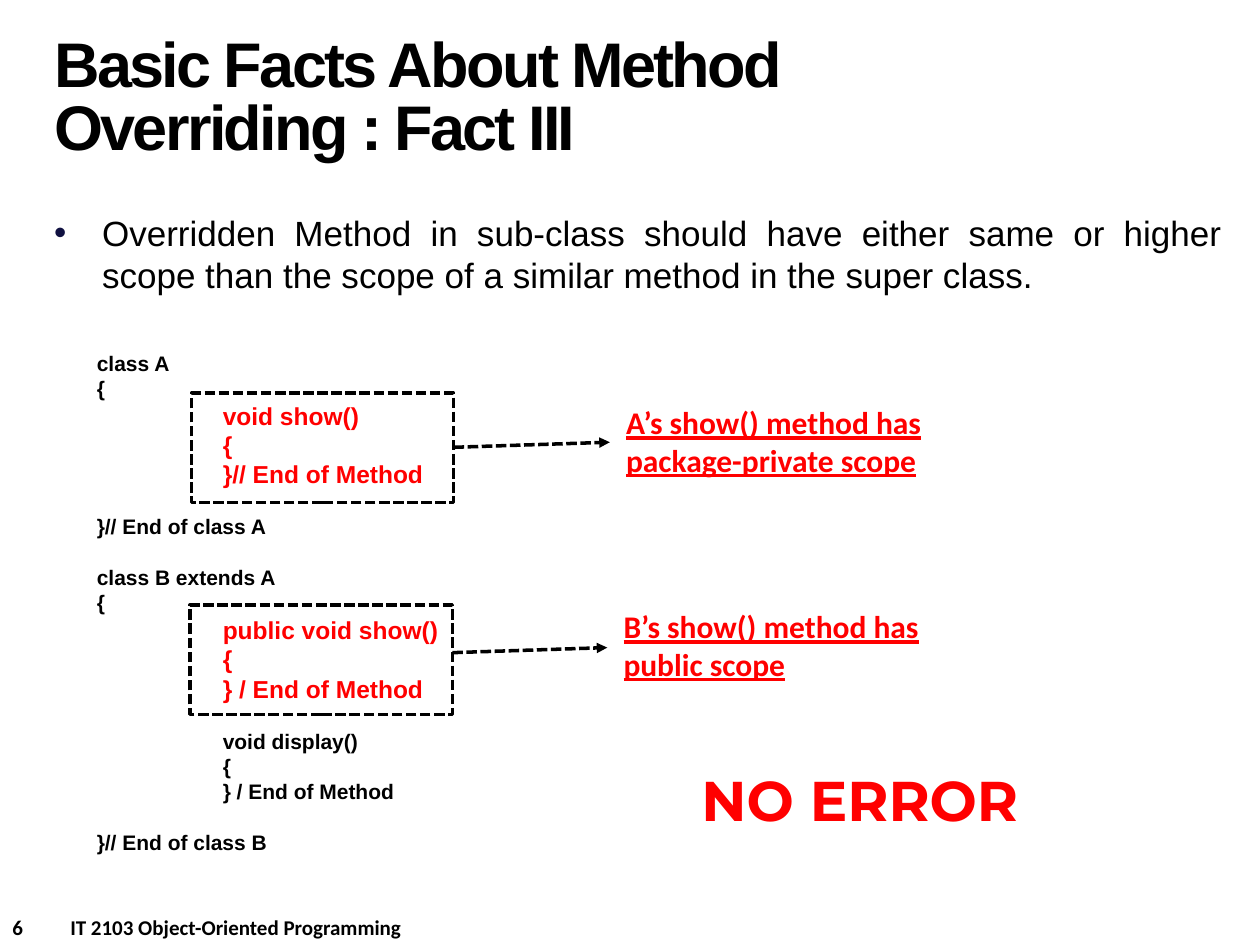
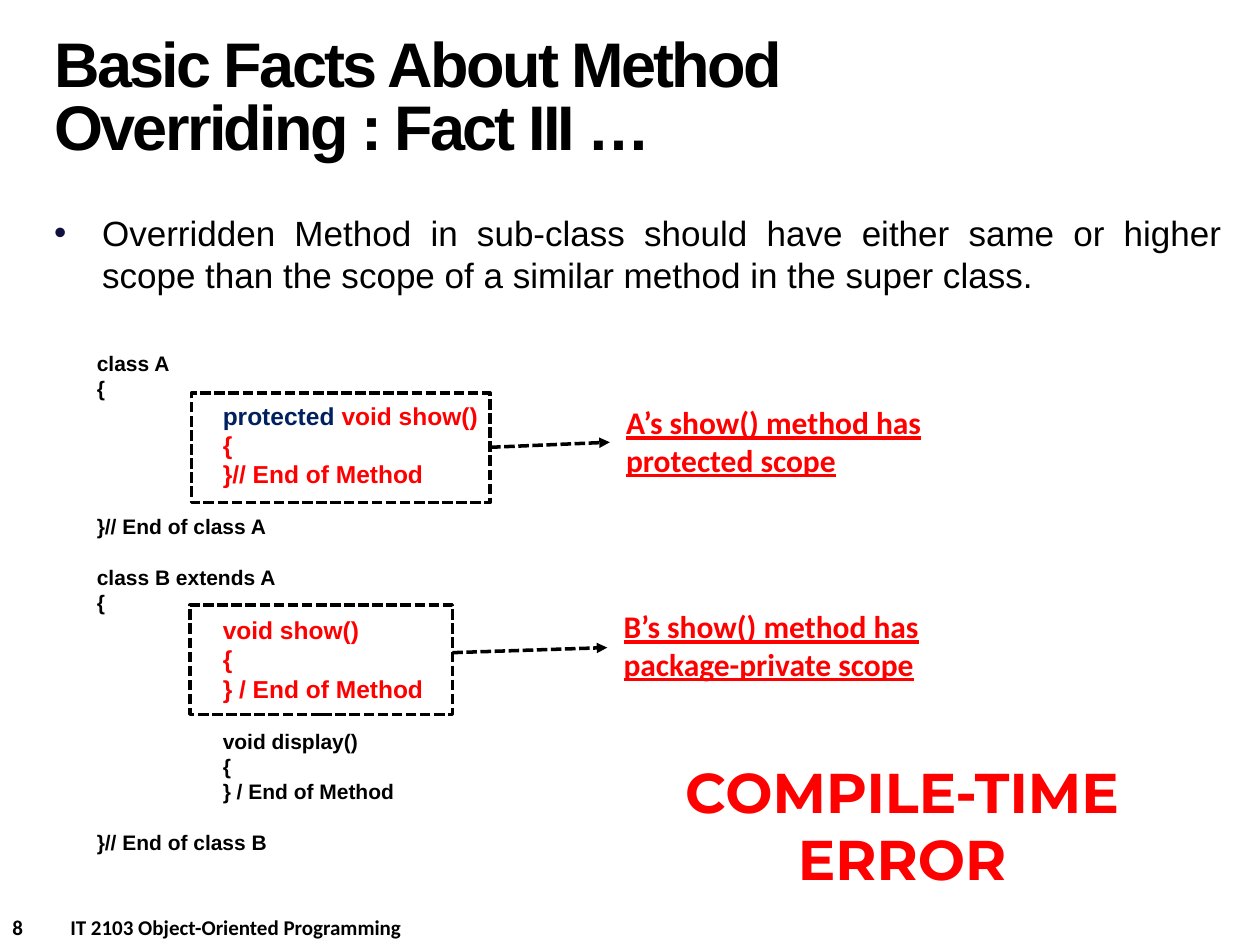
from lxml import etree
from pptx import Presentation
from pptx.dml.color import RGBColor
from pptx.enum.dml import MSO_LINE
from pptx.enum.shapes import MSO_CONNECTOR, MSO_SHAPE
from pptx.enum.text import MSO_ANCHOR, MSO_AUTO_SIZE, PP_ALIGN
from pptx.oxml.ns import qn
from pptx.util import Inches, Pt

LEFT, CENTER, JUSTIFY = PP_ALIGN.LEFT, PP_ALIGN.CENTER, PP_ALIGN.JUSTIFY
RECT, STRAIGHT, DASH = MSO_SHAPE.RECTANGLE, MSO_CONNECTOR.STRAIGHT, MSO_LINE.SQUARE_DOT
COLORS = {"text": "000000", "accent": "FF0000", "keyword": "002060", "bullet": "101141"}

# Content
COURSE = "IT 2103 Object-Oriented Programming"
RULE = ("Overridden Method in sub-class should have either same or higher scope "
        "than the scope of a similar method in the super class.")
SLIDES = [
    {"number": 6, "title": "Basic Facts About Method Overriding : Fact III",
     "show_a": [("void show()", "accent")],
     "show_b": [("public void show()", "accent")],
     "notes": ["A’s show() method has package-private scope",
               "B’s show() method has public scope"],
     "frame_widths": [2.08, 2.08],
     "verdict": "NO ERROR", "verdict_box": (4.87, 6.03, 3.91, 0.64)},
    {"number": 8, "title": "Basic Facts About Method Overriding : Fact III …",
     "show_a": [("protected", "keyword"), (" void show()", "accent")],
     "show_b": [("void show()", "accent")],
     "notes": ["A’s show() method has protected scope",
               "B’s show() method has package-private scope"],
     "frame_widths": [2.37, 2.08],
     "verdict": "COMPILE-TIME ERROR", "verdict_box": (4.69, 5.96, 4.94, 1.18)},
]

# Layout in inches: frame left and top, note left and top, arrow start and end heights
TITLE_BOX = (0.33, 0.17, 6.92, 1.25)
RULE_BOX = (0.33, 1.63, 9.47, 1.09)
CODE_BOX = (0.67, 2.73, 3.23, 4.14)
FOOTER_BOX = (0, 7.21, 5, 0.3)
CALLOUTS = [(1.52, 3.12, 4.87, 3.15, 3.55, 3.51), (1.51, 4.8, 4.85, 4.77, 5.18, 5.14)]
FRAME_H, NOTE_W, NOTE_H, ARROW_GAP = 0.87, 2.81, 0.71, 0.03
FOOTER_TAB, CODE_TAB = 0.46, 1
CODE_PITCH = 1.2


def rgb(name):
    return RGBColor.from_string(COLORS[name])


def place(shape, box):
    shape.left, shape.top, shape.width, shape.height = map(Inches, box)


def add_run(p, text, size, font="Arial", color="text", bold=True, underline=None):
    r = p.add_run()
    r.text = text
    f = r.font
    f.size, f.name, f.bold, f.underline = Pt(size), font, bold, underline
    f.color.rgb = rgb(color)
    return r


def add_tab(p, position):
    """Set a left tab stop, after any spacing of the paragraph."""
    tabs = etree.SubElement(p._p.get_or_add_pPr(), qn("a:tabLst"))
    etree.SubElement(tabs, qn("a:tab"), pos=str(Inches(position)), algn="l")


def add_text(s, box, text="", align=LEFT, **fmt):
    sp = s.shapes.add_textbox(*map(Inches, box))
    tf = sp.text_frame
    tf.word_wrap, tf.auto_size = True, MSO_AUTO_SIZE.SHAPE_TO_FIT_TEXT
    p = tf.paragraphs[0]
    p.alignment = align
    if text:
        add_run(p, text, **fmt)
    return tf


def fill_placeholder(sp, box, text, align, anchor, **fmt):
    place(sp, box)
    tf = sp.text_frame
    tf.word_wrap, tf.auto_size, tf.vertical_anchor = True, MSO_AUTO_SIZE.NONE, anchor
    p = tf.paragraphs[0]
    p.alignment = align
    return p, add_run(p, text, **fmt)


def add_title(s, text):
    p, r = fill_placeholder(s.shapes.title, TITLE_BOX, text, LEFT, MSO_ANCHOR.MIDDLE, size=36)
    p.line_spacing = Pt(36)
    r.font._element.set("spc", "-150")


def add_rule(s):
    p, r = fill_placeholder(s.placeholders[1], RULE_BOX, RULE, JUSTIFY, MSO_ANCHOR.TOP,
                            size=20, bold=False)
    p.space_before = Pt(4)
    pPr = p._p.get_or_add_pPr()
    pPr.set("marL", str(Inches(0.38)))
    pPr.set("indent", str(-Inches(0.38)))
    color = etree.SubElement(pPr, qn("a:buClr"))
    etree.SubElement(color, qn("a:srgbClr"), val=COLORS["bullet"])
    etree.SubElement(pPr, qn("a:buChar"), char="•")


def add_footer(s, number):
    tf = add_text(s, FOOTER_BOX, f"{number}\t{COURSE}", size=12, font="Calibri")
    add_tab(tf.paragraphs[0], FOOTER_TAB)


def code_lines(show_a, show_b):
    """Lines of the listing as (runs, size, gap above)."""
    def plain(text, gap=False):
        return [(text, "text")], 12, gap

    def method(head, end):
        rows = [[("\t", "text")] + head, [("\t{", "accent")], [(end, "accent")]]
        return [(runs, 14, False) for runs in rows]

    return [plain("class A"), plain("{"), *method(show_a, "\t}// End of Method"),
            plain("}// End of class A", True),
            plain("class B extends A", True), plain("{"),
            *method(show_b, "\t} / End of Method"),
            plain("\tvoid display()", True), plain("\t{"), plain("\t} / End of Method"),
            plain("}// End of class B", True)]


def add_code(s, lines):
    tf = add_text(s, CODE_BOX)
    for i, (runs, size, gap) in enumerate(lines):
        p = tf.add_paragraph() if i else tf.paragraphs[0]
        p.line_spacing = Pt(size * CODE_PITCH)
        if gap:
            p.space_before = Pt(12 * CODE_PITCH)
        add_tab(p, CODE_TAB)
        for text, color in runs:
            add_run(p, text, size, color=color)


def dash(line):
    line.color.rgb, line.width, line.dash_style = rgb("text"), Pt(2), DASH


def add_callout(s, spot, width, note):
    left, top, note_left, note_top, y1, y2 = spot
    add_text(s, (note_left, note_top, NOTE_W, NOTE_H), note,
             size=18, font="Calibri", color="accent", underline=True)
    frame = s.shapes.add_shape(RECT, *map(Inches, (left, top, width, FRAME_H)))
    frame.shadow.inherit = False
    frame.fill.background()
    dash(frame.line)
    ends = (left + width, y1, note_left - ARROW_GAP, y2)
    arrow = s.shapes.add_connector(STRAIGHT, *map(Inches, ends))
    dash(arrow.line)
    etree.SubElement(arrow.line._get_or_add_ln(), qn("a:tailEnd"), type="triangle")
    etree.SubElement(arrow._element.spPr, qn("a:effectLst"))


prs = Presentation()
prs.slide_width, prs.slide_height = Inches(10), Inches(7.5)
for data in SLIDES:
    s = prs.slides.add_slide(prs.slide_layouts[1])
    add_footer(s, data["number"])
    add_title(s, data["title"])
    add_rule(s)
    add_code(s, code_lines(data["show_a"], data["show_b"]))
    for spot, width, note in zip(CALLOUTS, data["frame_widths"], data["notes"]):
        add_callout(s, spot, width, note)
    add_text(s, data["verdict_box"], data["verdict"], CENTER,
             size=32, font="Montserrat", color="accent")
prs.save("out.pptx")
